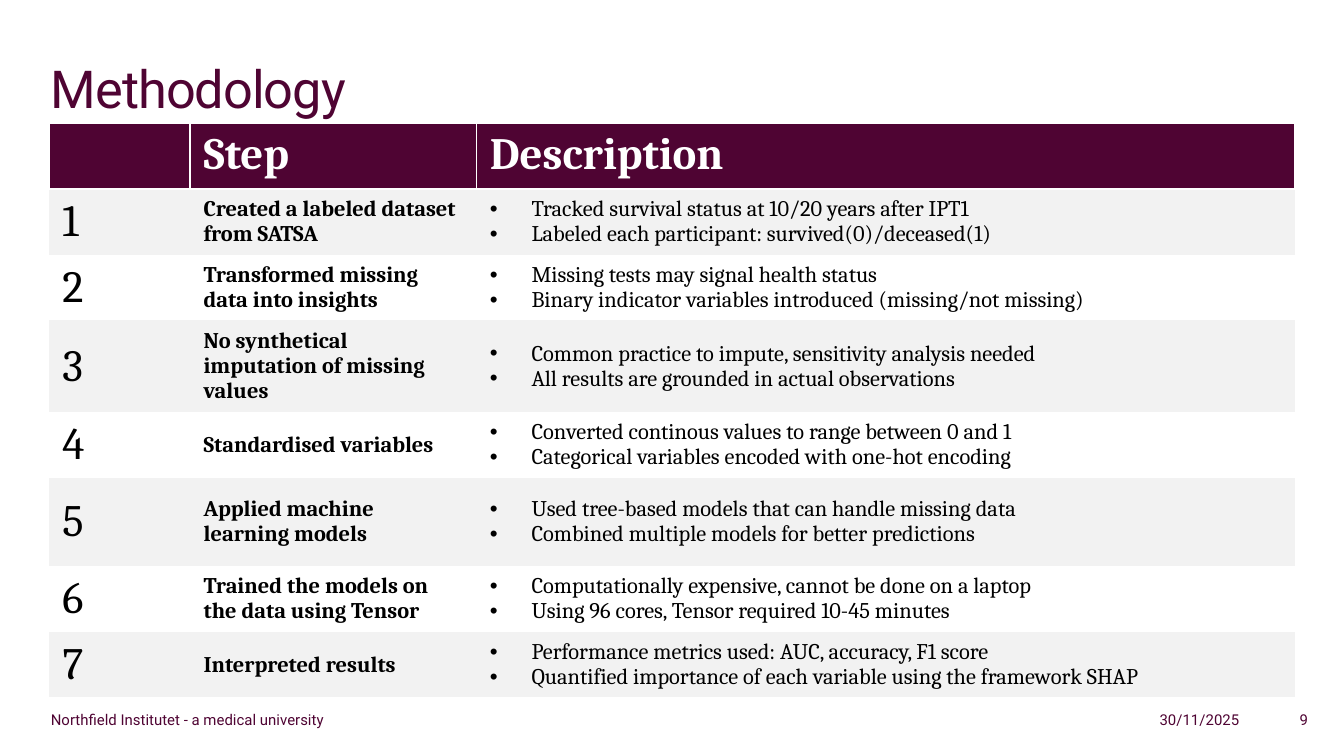
from lxml.etree import SubElement
from pptx import Presentation
from pptx.dml.color import RGBColor
from pptx.enum.text import MSO_ANCHOR, PP_ALIGN
from pptx.oxml.ns import qn
from pptx.util import Inches, Pt

WIDTH, HEIGHT = Inches(10), Inches(5.625)
COLORS = {"plum": "4F0433", "band": "F2F2F2", "white": "FFFFFF", "black": "000000"}
TITLE = {"name": "Roboto", "size": Pt(28), "color": "plum"}
FOOTER = {"name": "Roboto", "size": Pt(8), "color": "plum"}
HEADER = {"name": "Cambria", "size": Pt(24), "bold": True, "color": "white"}
NUMBER = {"name": "Cambria", "size": Pt(24), "bold": False, "color": "black"}
STEP = {"name": "Cambria", "size": Pt(12), "bold": True, "color": "black"}
DETAIL = {**STEP, "bold": False}
NO_STYLE = "{2D5ABB26-0587-4C30-8999-92F81FD0307C}"
COLUMNS = [10.5, 21.3, 60.9]
ROWS = [8.6, 8.6, 8.6, 12, 8.6, 11.7, 8.6, 8.6]

STEPS = [
    ("Created a labeled dataset from SATSA",
     ["Tracked survival status at 10/20 years after IPT1",
      "Labeled each participant: survived(0)/deceased(1)"]),
    ("Transformed missing data into insights",
     ["Missing tests may signal health status",
      "Binary indicator variables introduced (missing/not missing)"]),
    ("No synthetical imputation of missing values",
     ["Common practice to impute, sensitivity analysis needed",
      "All results are grounded in actual observations"]),
    ("Standardised variables",
     ["Converted continous values to range between 0 and 1",
      "Categorical variables encoded with one-hot encoding"]),
    ("Applied machine learning models",
     ["Used tree-based models that can handle missing data",
      "Combined multiple models for better predictions"]),
    ("Trained the models on the data using Tensor",
     ["Computationally expensive, cannot be done on a laptop",
      "Using 96 cores, Tensor required 10-45 minutes"]),
    ("Interpreted results",
     ["Performance metrics used: AUC, accuracy, F1 score",
      "Quantified importance of each variable using the framework SHAP"]),
]


def across(percent):
    return int(WIDTH * percent / 100)


def down(percent):
    return int(HEIGHT * percent / 100)


def rgb(name):
    return RGBColor.from_string(COLORS[name])


def add_run(p, text, style):
    r = p.add_run()
    r.text = text
    for key, value in style.items():
        if key == "color":
            r.font.color.rgb = rgb(value)
        else:
            setattr(r.font, key, value)
    return r


def add_text(s, text, box, style, align=PP_ALIGN.LEFT):
    x, y, w, h = box
    tf = s.shapes.add_textbox(across(x), down(y), across(w), down(h)).text_frame
    frame = {"word_wrap": True, "margin_left": Inches(0.1), "margin_right": Inches(0.1),
             "margin_top": Inches(0.05), "margin_bottom": 0}
    for key, value in frame.items():
        setattr(tf, key, value)
    p = tf.paragraphs[0]
    p.alignment = align
    return add_run(p, text, style)


def add_bullet(p):
    pPr = p._p.get_or_add_pPr()
    indent = Inches(0.31)
    pPr.set("marL", str(indent))
    pPr.set("indent", str(-indent))
    SubElement(pPr, qn("a:buFont"), typeface="Arial")
    SubElement(pPr, qn("a:buChar"), char="•")


def add_borders(cell, color):
    tcPr = cell._tc.get_or_add_tcPr()
    for side in "LRTB":
        ln = SubElement(tcPr, qn(f"a:ln{side}"), w=str(Pt(1)))
        fill = SubElement(ln, qn("a:solidFill"))
        SubElement(fill, qn("a:srgbClr"), val=COLORS[color])


def fill_cell(cell, lines, style, fill, bullets=False, anchor=MSO_ANCHOR.MIDDLE):
    cell.vertical_anchor = anchor
    if fill:
        cell.fill.solid()
        cell.fill.fore_color.rgb = rgb(fill)
    else:
        cell.fill.background()
    tf = cell.text_frame
    for i, line in enumerate(lines):
        p = tf.add_paragraph() if i else tf.paragraphs[0]
        p.line_spacing = 0.97
        if bullets:
            add_bullet(p)
        add_run(p, line, style)


def add_steps_table(s):
    frame = s.shapes.add_table(len(ROWS), len(COLUMNS), across(3.65), down(16.3),
                               across(sum(COLUMNS)), down(sum(ROWS)))
    table = frame.table
    table._tbl.tblPr.find(qn("a:tableStyleId")).text = NO_STYLE
    for column, width in zip(table.columns, COLUMNS):
        column.width = across(width)
    for row, height in zip(table.rows, ROWS):
        row.height = down(height)
    for c, heading in enumerate(["", "Step", "Description"]):
        cell = table.cell(0, c)
        add_borders(cell, "white")
        fill_cell(cell, [heading], HEADER, "plum", anchor=MSO_ANCHOR.TOP)
    for n, (step, details) in enumerate(STEPS, 1):
        fill = "band" if n % 2 else None
        fill_cell(table.cell(n, 0), [str(n)], NUMBER, fill)
        fill_cell(table.cell(n, 1), [step], STEP, fill)
        fill_cell(table.cell(n, 2), details, DETAIL, fill, bullets=True)


def add_footer(s):
    for text, x, w, align in [
        ("Northfield Institutet - a medical university", 2.8, 26, PP_ALIGN.LEFT),
        ("30/11/2025", 72.4, 20.8, PP_ALIGN.RIGHT),
        ("9", 90.8, 7.5, PP_ALIGN.RIGHT),
    ]:
        add_text(s, text, (x, 93.15, w, 3.4), FOOTER, align)


def main():
    prs = Presentation()
    prs.slide_width, prs.slide_height = WIDTH, HEIGHT
    s = prs.slides.add_slide(prs.slide_layouts[6])
    title = add_text(s, "Methodology", (2.8, 6.6, 94.4, 16.7), TITLE)
    title.font._element.set("spc", "-50")
    add_footer(s)
    add_steps_table(s)
    prs.save("out.pptx")


if __name__ == "__main__":
    main()
